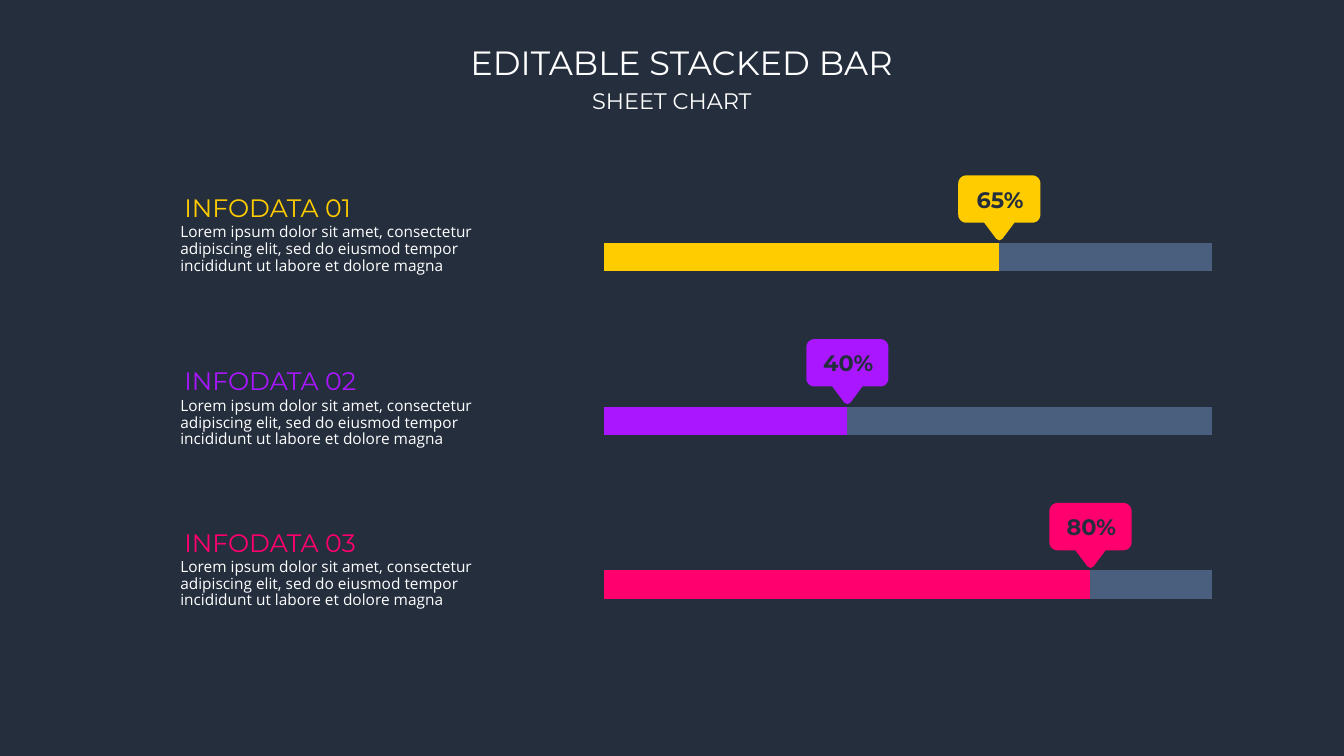
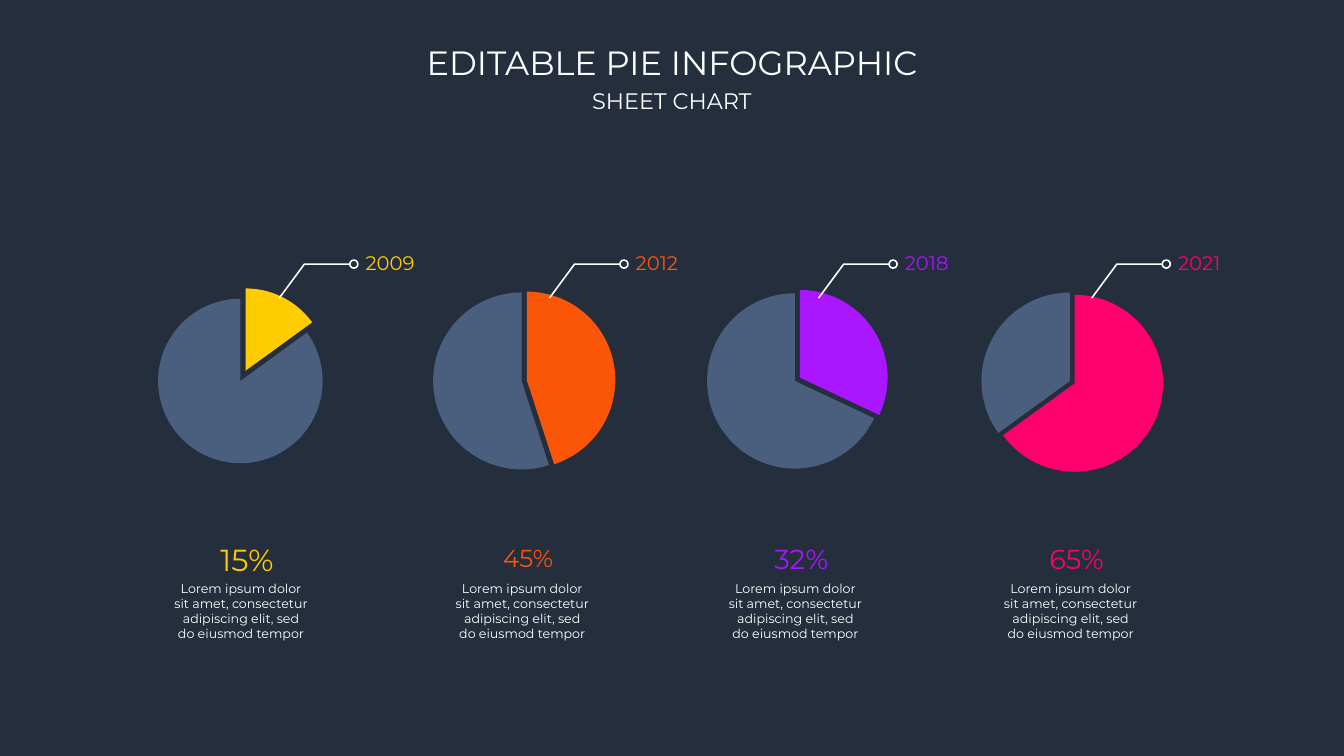
import math

import lxml.etree
import pptx
import pptx.chart.data
import pptx.dml.color
import pptx.enum.chart
import pptx.enum.shapes
import pptx.enum.text
import pptx.oxml.ns
import pptx.util

RGBColor = pptx.dml.color.RGBColor
NAVY = RGBColor(0x24, 0x2E, 0x3D)
SLATE = RGBColor(0x4A, 0x5F, 0x7E)
WHITE = RGBColor(0xFF, 0xFF, 0xFF)
YELLOW = RGBColor(0xFF, 0xCC, 0x00)
ORANGE = RGBColor(0xFB, 0x56, 0x07)
PURPLE = RGBColor(0xA9, 0x16, 0xFF)
PINK = RGBColor(0xFF, 0x00, 0x6E)
LEFT = pptx.enum.text.PP_ALIGN.LEFT
CENTER = pptx.enum.text.PP_ALIGN.CENTER
TOP = pptx.enum.text.MSO_ANCHOR.TOP
MIDDLE = pptx.enum.text.MSO_ANCHOR.MIDDLE
FONT = "Montserrat"
BODY_FONT = "Open Sans"
LOREM = "Lorem ipsum dolor sit amet, consectetur adipiscing elit, sed do eiusmod tempor"
LINE_WIDTH = pptx.util.Pt(1.13)

prs = pptx.Presentation()
prs.slide_width = pptx.util.Inches(13.33)
prs.slide_height = pptx.util.Inches(7.5)
COL = prs.slide_width / 160
ROW = prs.slide_height / 90


def add_text(s, text, x, y, w, h, size, color, align=CENTER, font=FONT,
             bold=False, wrap=False, spacing=None, anchor=TOP):
    box = s.shapes.add_textbox(round(x * COL), round(y * ROW), round(w * COL), round(h * ROW))
    tf = box.text_frame
    tf.word_wrap = wrap
    tf.vertical_anchor = anchor
    p = tf.paragraphs[0]
    p.alignment = align
    if spacing:
        p.line_spacing = spacing
    r = p.add_run()
    r.text = text
    r.font.name = font
    r.font.size = pptx.util.Pt(size)
    r.font.bold = bold
    r.font.color.rgb = color


def add_chart(s, kind, data, x, y, w, h, plot_w, plot_h):
    chart = s.shapes.add_chart(kind, round(x * COL), round(y * ROW),
                               round(w * COL), round(h * ROW), data).chart
    chart.has_legend = False
    chart.has_title = False
    chart.font.name = FONT
    chart.font.size = pptx.util.Pt(10)
    chart.font.color.rgb = WHITE
    area = chart.element.xpath(".//c:plotArea")[0]
    for old in area.xpath("./c:layout"):
        area.remove(old)
    qn = pptx.oxml.ns.qn
    layout = lxml.etree.Element(qn("c:layout"))
    manual = lxml.etree.SubElement(layout, qn("c:manualLayout"))
    for tag, val in (("layoutTarget", "inner"), ("xMode", "edge"), ("yMode", "edge"),
                     ("x", (1 - plot_w) / 2), ("y", (1 - plot_h) / 2),
                     ("w", plot_w), ("h", plot_h)):
        lxml.etree.SubElement(manual, qn("c:" + tag)).set("val", str(val))
    area.insert(0, layout)
    return chart


slides = []
for title, center in (("EDITABLE STACKED BAR", 81.12), ("EDITABLE PIE INFOGRAPHIC", 80)):
    s = prs.slides.add_slide(prs.slide_layouts[6])
    s.background.fill.solid()
    s.background.fill.fore_color.rgb = NAVY
    add_text(s, title, center - 32, 4.44, 64, 6, 24, WHITE)
    add_text(s, "SHEET CHART", 69, 9.84, 22, 4.44, 16, WHITE)
    slides.append(s)
bar_slide, pie_slide = slides

BAR_X, BAR_W, BAR_H = 70.44, 75.36, 8.88
PLOT_SHARE = 0.96
TAG_W, TAG_H, TAG_R = 9.78, 5.64, 0.96
s = bar_slide
bars = ((65, YELLOW, 22.32), (40, PURPLE, 42.96), (80, PINK, 62.16))
for i, (value, color, head_y) in enumerate(bars):
    bar_y = 26.16 + 19.5 * i
    data = pptx.chart.data.CategoryChartData()
    data.categories = ["1"]
    data.add_series("Series 1", [value])
    data.add_series("Series 2", [100 - value])
    chart = add_chart(s, pptx.enum.chart.XL_CHART_TYPE.BAR_STACKED_100, data,
                      BAR_X, bar_y, BAR_W, BAR_H, PLOT_SHARE, 0.95)
    for axis in (chart.category_axis, chart.value_axis):
        axis.has_major_gridlines = False
        axis.visible = False
    plot = chart.plots[0]
    plot.gap_width = 150
    plot.overlap = 100
    for series, fill in zip(plot.series, (color, SLATE)):
        series.format.fill.solid()
        series.format.fill.fore_color.rgb = fill

    tip = BAR_X + BAR_W * ((1 - PLOT_SHARE) / 2 + PLOT_SHARE * value / 100)
    tag_y = bar_y - 5.28
    half = TAG_W / 2
    outline = []
    for dx, dy, start in ((TAG_R - half, TAG_R, 180), (half - TAG_R, TAG_R, 270),
                          (half - TAG_R, TAG_H - TAG_R, 0)):
        for step in range(7):
            a = math.radians(start + 15 * step)
            outline.append((dx + TAG_R * math.cos(a), dy + TAG_R * math.sin(a)))
    outline += [(1.8, TAG_H), (0.36, 7.56), (0, 7.74), (-0.36, 7.56), (-1.8, TAG_H)]
    for step in range(7):
        a = math.radians(90 + 15 * step)
        outline.append((TAG_R - half + TAG_R * math.cos(a),
                        TAG_H - TAG_R + TAG_R * math.sin(a)))
    points = [((tip + dx) * COL, (tag_y + dy) * ROW) for dx, dy in outline]
    builder = s.shapes.build_freeform(*points[0])
    builder.add_line_segments(points[1:])
    sp = builder.convert_to_shape()
    sp.shadow.inherit = False
    sp.fill.solid()
    sp.fill.fore_color.rgb = color
    sp.line.fill.background()
    add_text(s, f"{value}%", tip - 4.1, tag_y + 0.64, 8.4, 4.44, 16, NAVY, bold=True)

    add_text(s, f"INFODATA {i + 1:02}", 20.76, head_y, 23.4, 4.8, 18, color, LEFT)
    add_text(s, LOREM + " incididunt ut labore et dolore magna", 20.28, head_y + 3.84,
             37.68, 8.04, 11, WHITE, LEFT, BODY_FONT, wrap=True, spacing=0.9)

PIE_W, PIE_H = 38.52, 25.68
s = pie_slide
pies = ((15, "2009", YELLOW, 9.36, 33.24, 21.7, 14),
        (45, "2012", ORANGE, 42.84, 65.4, 17.5, 6),
        (32, "2018", PURPLE, 75.36, 97.44, 19.6, 7),
        (65, "2021", PINK, 108.12, 129.96, 19.6, 6))
for value, year, color, x, leader_x, size, explosion in pies:
    data = pptx.chart.data.CategoryChartData()
    data.categories = ["1", "2"]
    data.add_series("Series 1", [value, 100 - value])
    plot_h = 0.87 / (1 + explosion / 100)
    chart = add_chart(s, pptx.enum.chart.XL_CHART_TYPE.PIE, data,
                      x, 32.52, PIE_W, PIE_H, plot_h * PIE_H / PIE_W, plot_h)
    series = chart.plots[0].series[0]
    for i, fill in enumerate((color, SLATE)):
        point = series.points[i]
        point.format.fill.solid()
        point.format.fill.fore_color.rgb = fill
        point.format.line.fill.background()
    sp_pr = chart.element.xpath(".//c:dPt/c:spPr")[0]
    burst = lxml.etree.Element(pptx.oxml.ns.qn("c:explosion"))
    burst.set("val", str(explosion))
    sp_pr.addprevious(burst)

    add_text(s, LOREM, x + 10.08, 68.88, 18.48, 7.68, 9, WHITE, wrap=True, anchor=MIDDLE)
    add_text(s, f"{value}%", x + 15.36, 65.04, 9.36, 4.92, size, color, wrap=True, spacing=0.7)

    points = [((leader_x + dx) * COL, y * ROW) for dx, y in ((0, 35.5), (3, 31.44), (8.4, 31.44))]
    builder = s.shapes.build_freeform(*points[0])
    builder.add_line_segments(points[1:], close=False)
    leader = builder.convert_to_shape()
    ring = s.shapes.add_shape(pptx.enum.shapes.MSO_SHAPE.OVAL, round((leader_x + 8.4) * COL),
                              round(30.96 * ROW), round(0.96 * COL), round(0.96 * ROW))
    for sp in (leader, ring):
        sp.shadow.inherit = False
        sp.fill.background()
        sp.line.color.rgb = WHITE
        sp.line.width = LINE_WIDTH
    add_text(s, year, leader_x + 9.1, 29.64, 9.36, 4.92, 14, color, LEFT, wrap=True, spacing=0.9)

prs.save("out.pptx")
